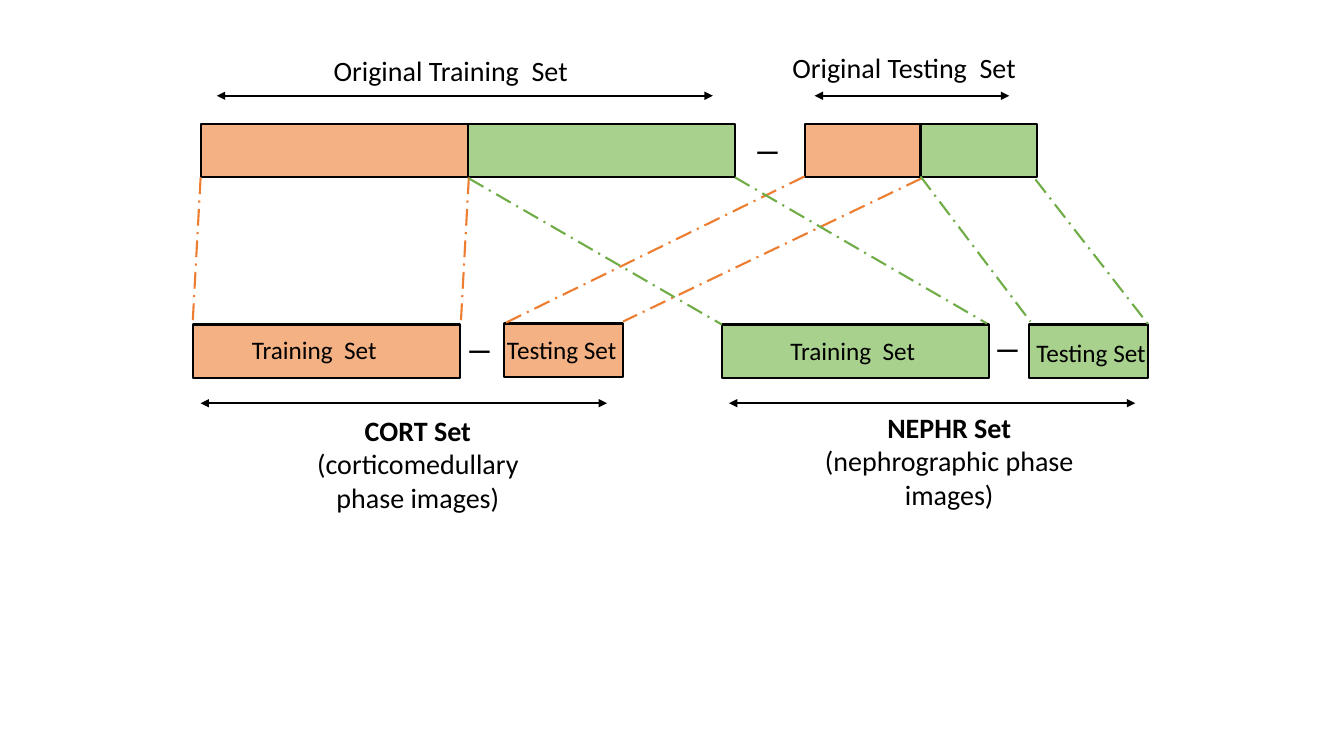
"""Build the slide showing how the original sets split into CORT and NEPHR sets."""
import pptx
import pptx.dml.color
import pptx.enum.dml
import pptx.enum.shapes
import pptx.enum.text
import pptx.oxml.ns
import pptx.oxml.xmlchemy
import pptx.util

Inches = pptx.util.Inches
RGBColor = pptx.dml.color.RGBColor
LEFT = pptx.enum.text.PP_ALIGN.LEFT
CENTER = pptx.enum.text.PP_ALIGN.CENTER

BLACK = RGBColor(0x00, 0x00, 0x00)
CORT_FILL = RGBColor(0xF4, 0xB1, 0x83)
NEPHR_FILL = RGBColor(0xA9, 0xD1, 0x8E)
CORT_LINE = RGBColor(0xED, 0x7D, 0x31)
NEPHR_LINE = RGBColor(0x70, 0xAD, 0x47)

deck = pptx.Presentation()
deck.slide_width, deck.slide_height = Inches(13.33), Inches(7.5)
slide = deck.slides.add_slide(deck.slide_layouts[6])


def write(text, left, top, width, height, size=18, font="Calibri", bold=False, align=LEFT):
    """Write one paragraph per line; only the first line can be bold."""
    frame = slide.shapes.add_textbox(
        Inches(left), Inches(top), Inches(width), Inches(height)).text_frame
    frame.word_wrap = True
    frame.auto_size = pptx.enum.text.MSO_AUTO_SIZE.SHAPE_TO_FIT_TEXT
    for index, line in enumerate(text.split("\n")):
        paragraph = frame.add_paragraph() if index else frame.paragraphs[0]
        paragraph.alignment = align
        run = paragraph.add_run()
        run.text = line
        run.font.name = font
        run.font.size = pptx.util.Pt(size)
        run.font.bold = bold and index == 0
        run.font.color.rgb = BLACK


def connect(start, end, color):
    """Draw a plain straight line and return it."""
    line = slide.shapes.add_connector(
        pptx.enum.shapes.MSO_CONNECTOR.STRAIGHT, *map(Inches, start + end))
    line.line.color.rgb = color
    line.line.width = pptx.util.Pt(1.5)
    line._element.spPr.append(pptx.oxml.xmlchemy.OxmlElement("a:effectLst"))
    return line


for left, top, width, fill in (
    (1.99, 1.23, 2.65, CORT_FILL),
    (4.64, 1.23, 2.65, NEPHR_FILL),
    (7.98, 1.23, 1.15, CORT_FILL),
    (9.13, 1.23, 1.16, NEPHR_FILL),
    (1.91, 3.22, 2.65, CORT_FILL),
    (5.0, 3.21, 1.18, CORT_FILL),
    (7.16, 3.22, 2.65, NEPHR_FILL),
    (10.21, 3.22, 1.18, NEPHR_FILL),
):
    subset = slide.shapes.add_shape(
        pptx.enum.shapes.MSO_SHAPE.RECTANGLE,
        Inches(left), Inches(top), Inches(width), Inches(0.53))
    subset.shadow.inherit = False
    subset.fill.solid()
    subset.fill.fore_color.rgb = fill
    subset.line.color.rgb = BLACK
    subset.line.width = pptx.util.Pt(1.5)

for start, end, color in (
    ((1.99, 1.76), (1.91, 3.22), CORT_LINE),
    ((4.65, 1.76), (4.57, 3.22), CORT_LINE),
    ((7.98, 1.75), (4.98, 3.22), CORT_LINE),
    ((9.14, 1.77), (6.18, 3.19), CORT_LINE),
    ((4.65, 1.77), (7.16, 3.22), NEPHR_LINE),
    ((7.29, 1.76), (9.79, 3.21), NEPHR_LINE),
    ((9.13, 1.75), (10.22, 3.19), NEPHR_LINE),
    ((10.27, 1.78), (11.39, 3.22), NEPHR_LINE),
):
    projection = connect(start, end, color)
    projection.line.dash_style = pptx.enum.dml.MSO_LINE.LONG_DASH_DOT

for left, top in ((7.41, 1.29), (4.55, 3.27), (9.79, 3.26)):
    write("—", left, top, 0.44, 0.4, font="Noto Sans CJK SC", bold=True)

for left, right, top in ((2.15, 7.07, 0.95), (8.08, 10.01, 0.95),
                         (1.99, 6.02, 4), (7.23, 11.26, 4)):
    extent = connect((left, top), (right, top), BLACK)
    for end_tag in ("a:headEnd", "a:tailEnd"):
        arrowhead = pptx.oxml.xmlchemy.OxmlElement(end_tag)
        arrowhead.set("type", "triangle")
        extent._element.spPr.find(pptx.oxml.ns.qn("a:ln")).append(arrowhead)

write("Original Training  Set", 3.21, 0.48, 3.21, 0.44, size=20)
write("Original Testing  Set", 7.76, 0.45, 3.21, 0.44, size=20)
write("CORT Set\n(corticomedullary phase images)", 2.81, 4.05, 2.67, 1.11,
      size=20, bold=True, align=CENTER)
write("NEPHR Set\n(nephrographic phase images)", 8.08, 4.02, 2.67, 1.11,
      size=20, bold=True, align=CENTER)

for left, top in ((2.4, 3.27), (7.74, 3.28)):
    write("Training  Set", left, top, 1.62, 0.4)
for left, top in ((4.93, 3.27), (10.18, 3.3)):
    write("Testing Set", left, top, 1.49, 0.4)

deck.save("out.pptx")
